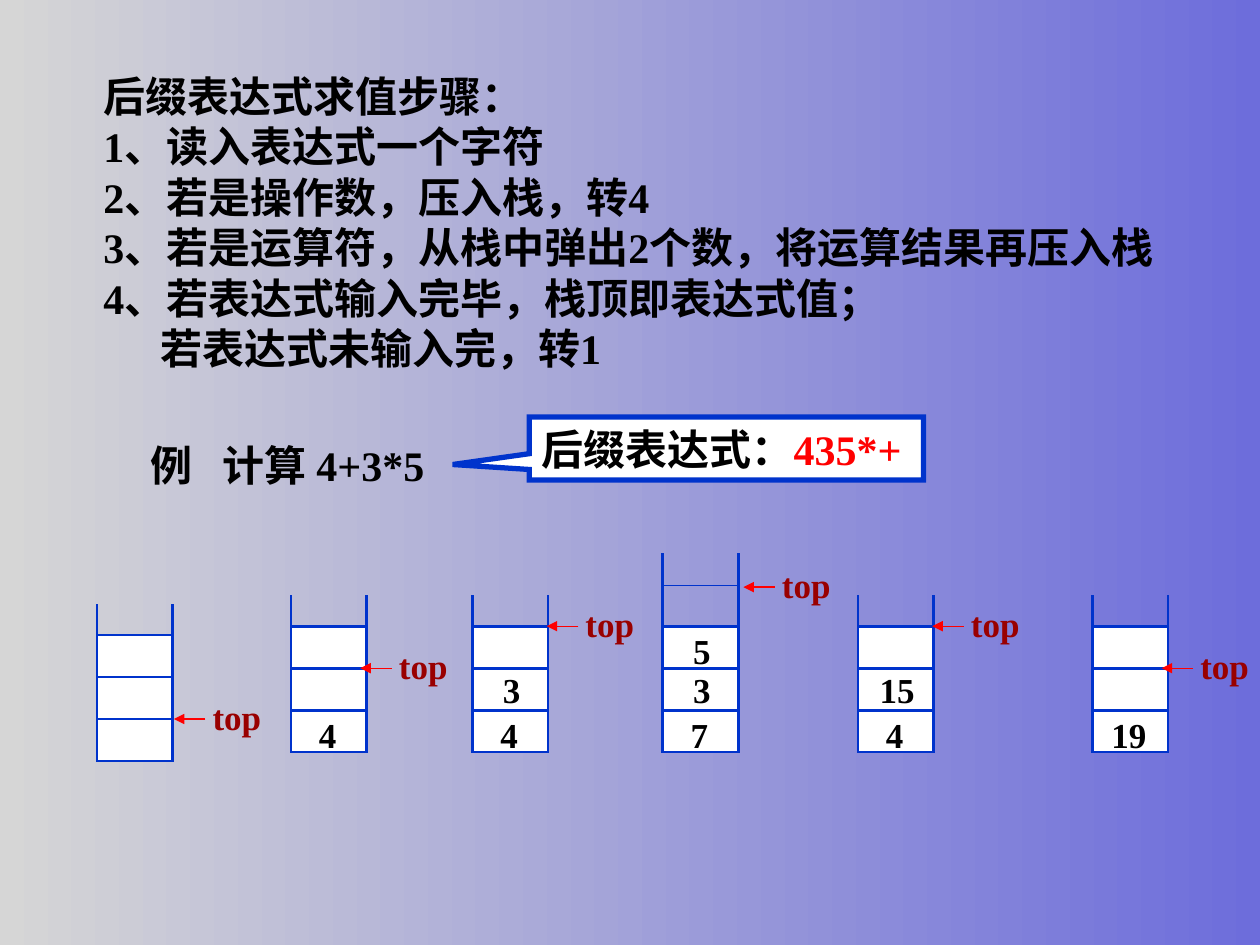
from dataclasses import dataclass

from lxml.etree import SubElement
from pptx import Presentation
from pptx.dml.color import RGBColor
from pptx.enum.shapes import MSO_CONNECTOR, MSO_SHAPE
from pptx.enum.text import MSO_ANCHOR, MSO_AUTO_SIZE, PP_ALIGN
from pptx.oxml.ns import qn
from pptx.util import Inches, Pt


@dataclass(frozen=True)
class Theme:
    ink: RGBColor = RGBColor(0x00, 0x00, 0x00)
    paper: RGBColor = RGBColor(0xFF, 0xFF, 0xFF)
    outline: RGBColor = RGBColor(0x00, 0x33, 0xCC)
    accent: RGBColor = RGBColor(0xFF, 0x00, 0x00)
    pointer: RGBColor = RGBColor(0x99, 0x00, 0x00)
    gradient: tuple = (RGBColor(0x6D, 0x6D, 0xDB), RGBColor(0xD6, 0xD6, 0xD6))
    font: str = "Times New Roman"
    body: Pt = Pt(24)
    label: Pt = Pt(20)
    thin: Pt = Pt(0.75)
    medium: Pt = Pt(1.5)
    thick: Pt = Pt(3)


theme = Theme()
FRAME_FORMAT = {
    "word_wrap": False, "auto_size": MSO_AUTO_SIZE.NONE,
    "vertical_anchor": MSO_ANCHOR.MIDDLE,
    "margin_left": Inches(0.1), "margin_right": Inches(0.1),
    "margin_top": Inches(0.05), "margin_bottom": Inches(0.05),
}
FONT_FORMAT = {"name": theme.font, "bold": True}


def write(frame, lines, size, align=PP_ALIGN.LEFT):
    """Fill a text frame; each line is a list of (text, colour) runs."""
    for key, value in FRAME_FORMAT.items():
        setattr(frame, key, value)
    for index, runs in enumerate(lines):
        paragraph = frame.paragraphs[0] if index == 0 else frame.add_paragraph()
        paragraph.alignment = align
        paragraph.space_before = Pt(0)
        for text, color in runs:
            run = paragraph.add_run()
            run.text = text
            for key, value in {**FONT_FORMAT, "size": size}.items():
                setattr(run.font, key, value)
            run.font.color.rgb = color


def add_line(shapes, start, end, color, width):
    line = shapes.add_connector(
        MSO_CONNECTOR.STRAIGHT, *(Inches(value) for value in (*start, *end)))
    line.line.color.rgb = color
    line.line.width = width
    SubElement(line._element.spPr, qn("a:effectLst"))
    return line


deck = Presentation()
deck.slide_width, deck.slide_height = Inches(10), Inches(7.5)
slide = deck.slides.add_slide(deck.slide_layouts[1])

background = slide.background.fill
background.gradient()
background.gradient_angle = 180
for stop, color in zip(background.gradient_stops, theme.gradient):
    stop.color.rgb = color

# Heading and steps
heading, steps = slide.shapes.title, slide.placeholders[1]
for holder, top, height in ((heading, 0.51, 0.5), (steps, 0.91, 2.1)):
    holder.left, holder.top = Inches(0.72), Inches(top)
    holder.width, holder.height = Inches(9), Inches(height)
write(heading.text_frame, [[("后缀表达式求值步骤：", theme.ink)]], theme.body)

STEPS = [
    "1、读入表达式一个字符",
    "2、若是操作数，压入栈，转4",
    "3、若是运算符，从栈中弹出2个数，将运算结果再压入栈",
    "4、若表达式输入完毕，栈顶即表达式值；",
    "若表达式未输入完，转1",
]
write(steps.text_frame, [[(step, theme.ink)] for step in STEPS], theme.body)
for paragraph in steps.text_frame.paragraphs:
    properties = paragraph._p.get_or_add_pPr()
    properties.set("marL", "0")
    properties.set("indent", "0")
    SubElement(properties, qn("a:buNone"))
properties.set("marL", str(Inches(0.45)))  # the last line continues step 4

# Example and its postfix form
example = slide.shapes.add_textbox(Inches(1.1), Inches(3.44), Inches(2.44), Inches(0.5))
write(example.text_frame, [[("例\t计算 4+3*5", theme.ink)]], theme.body)
tabs = SubElement(example.text_frame.paragraphs[0]._p.get_or_add_pPr(), qn("a:tabLst"))
SubElement(tabs, qn("a:tab"), pos=str(Inches(0.57)), algn="l")

postfix = slide.shapes.add_shape(
    MSO_SHAPE.RECTANGULAR_CALLOUT, Inches(4.2), Inches(3.31), Inches(3.13), Inches(0.5))
postfix.shadow.inherit = False
postfix.adjustments[0], postfix.adjustments[1] = -0.694, 0.255
postfix.fill.solid()
postfix.fill.fore_color.rgb = theme.paper
postfix.line.color.rgb = theme.outline
postfix.line.width = theme.thick
SubElement(postfix.line._get_or_add_ln(), qn("a:miter"), lim="800000")
write(postfix.text_frame,
      [[("后缀表达式：", theme.ink), ("435*+", theme.accent)]], theme.body)

# Stack states: left, bottom, wall height, pointer level, pointer gap, values from the bottom
CELL_WIDTH, CELL_HEIGHT, CELL_COUNT = 0.6, 1 / 3, 3
VALUE_RISES = (0.36, 0.72, 1.03)
STACKS = [
    (0.77, 6.04, 1.25, 1, 0.01, []),
    (2.31, 5.97, 1.25, 2, -0.05, ["4"]),
    (3.75, 5.97, 1.25, 3, -0.01, ["4", "3"]),
    (5.26, 5.97, 1.58, 3.93, 0.04, ["7", "3", "5"]),
    (6.81, 5.97, 1.25, 3, -0.01, ["4", "15"]),
    (8.67, 5.97, 1.25, 2, -0.05, ["19"]),
]
for left, bottom, wall, level, gap, values in STACKS:
    stack = slide.shapes.add_group_shape().shapes
    right = left + CELL_WIDTH
    for x in (left, right):
        add_line(stack, (x, bottom), (x, bottom - wall), theme.outline, theme.medium)
    for row in range(1, CELL_COUNT + 1):
        cell = stack.add_shape(
            MSO_SHAPE.RECTANGLE, Inches(left), Inches(bottom - row * CELL_HEIGHT),
            Inches(CELL_WIDTH), Inches(CELL_HEIGHT))
        cell.shadow.inherit = False
        cell.fill.solid()
        cell.fill.fore_color.rgb = theme.paper
        cell.line.color.rgb = theme.outline
        cell.line.width = theme.medium
        SubElement(cell.line._get_or_add_ln(), qn("a:miter"), lim="800000")
    if level > CELL_COUNT:
        rim = bottom - 4 * CELL_HEIGHT + 0.01
        add_line(stack, (left, rim), (right, rim), theme.outline, theme.thin)

    tip, pointer_y = right + gap, bottom - level * CELL_HEIGHT
    pointer = add_line(stack, (tip + 0.25, pointer_y), (tip, pointer_y),
                       theme.accent, theme.thin)
    SubElement(pointer.line._get_or_add_ln(), qn("a:tailEnd"), type="triangle")

    labels = [("top", tip + 0.5, pointer_y - 0.24, 0.58, theme.pointer)]
    for row, (value, rise) in enumerate(zip(values, VALUE_RISES)):
        width = 0.2 + 0.14 * len(value)
        center = left + (0.31 if row else 0.29)
        labels.append((value, center, bottom - rise, width, theme.ink))
    for text, center, top, width, color in labels:
        label = stack.add_textbox(
            Inches(center - width / 2), Inches(top), Inches(width), Inches(0.44))
        write(label.text_frame, [[(text, color)]], theme.label, PP_ALIGN.CENTER)

deck.save("out.pptx")
